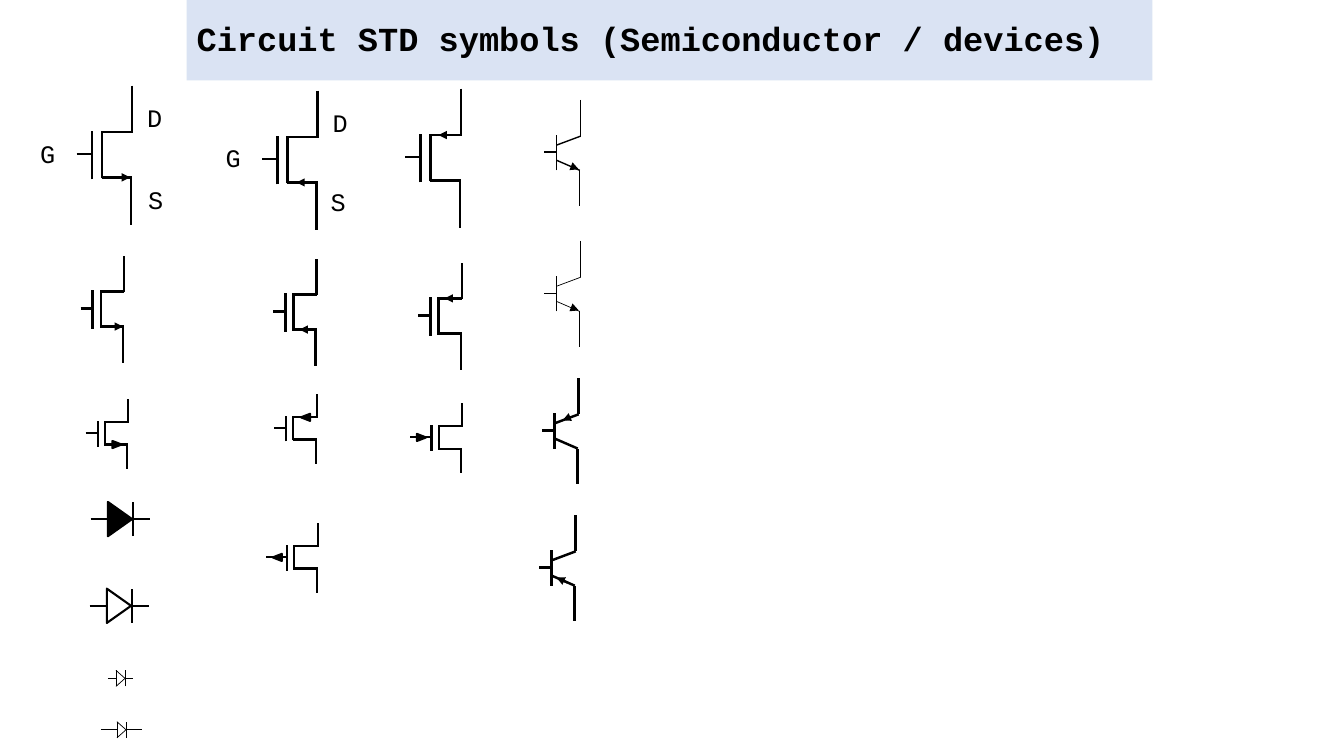
"""Build a slide of standard circuit symbols for semiconductor devices."""
from dataclasses import dataclass

from lxml.etree import SubElement
from pptx import Presentation
from pptx.dml.color import RGBColor
from pptx.enum.shapes import MSO_CONNECTOR, MSO_SHAPE
from pptx.enum.text import MSO_ANCHOR, MSO_AUTO_SIZE, PP_ALIGN
from pptx.oxml.ns import qn
from pptx.util import Pt

PX = 9144
BLACK = RGBColor(0, 0, 0)
PALE_BLUE = RGBColor(0xDA, 0xE3, 0xF3)
FONT = "Courier New"


@dataclass
class MosfetSize:
    """Distances inside a MOSFET symbol, from its left and top."""
    bar: int
    channel: int
    lead: int
    drain: int
    gate: int
    source: int
    bottom: int
    weight: float


LARGE = MosfetSize(15, 25, 55, 46, 68, 91, 138, 1.75)
MEDIUM = MosfetSize(12, 20, 43, 35, 52, 70, 106, 1.75)
SMALL = MosfetSize(12, 19, 42, 23, 34, 45, 69, 1.5)


def style_text(frame, text, size, bold=False):
    """Write one left-aligned line of text in the slide's font."""
    frame.text = text
    para = frame.paragraphs[0]
    para.alignment = PP_ALIGN.LEFT
    font = para.runs[0].font
    font.name, font.size, font.bold = FONT, Pt(size), bold
    font.color.rgb = BLACK


def add_title(page, text):
    """Place the title on its pale band."""
    title = page.shapes.title
    title.left, title.top, title.width, title.height = 185 * PX, 13 * PX, 958 * PX, 50 * PX
    title.fill.solid()
    title.fill.fore_color.rgb = PALE_BLUE
    frame = title.text_frame
    frame.vertical_anchor = MSO_ANCHOR.MIDDLE
    frame.auto_size = MSO_AUTO_SIZE.SHAPE_TO_FIT_TEXT
    style_text(frame, text, 24, True)


def add_label(page, text, left, top):
    """Add the letter of a terminal."""
    box = page.shapes.add_textbox(left * PX, top * PX, 35 * PX, 40 * PX)
    box.text_frame.word_wrap = False
    box.text_frame.auto_size = MSO_AUTO_SIZE.SHAPE_TO_FIT_TEXT
    style_text(box.text_frame, text, 18)


def add_lines(group, left, top, segments, weight, arrow=False):
    """Add straight lines given as offsets from a symbol's left and top."""
    for x1, y1, x2, y2 in segments:
        line = group.shapes.add_connector(
            MSO_CONNECTOR.STRAIGHT, (left + x1) * PX, (top + y1) * PX,
            (left + x2) * PX, (top + y2) * PX)
        line.line.color.rgb = BLACK
        line.line.width = Pt(weight)
        properties = line.element.spPr
        if arrow:
            SubElement(properties.find(qn("a:ln")), qn("a:tailEnd"), type="triangle")
        SubElement(properties, qn("a:effectLst"))


def add_triangle(group, center_x, center_y, width, height, rotation, filled=True):
    """Add a rotated triangle around a center."""
    triangle = group.shapes.add_shape(
        MSO_SHAPE.ISOSCELES_TRIANGLE, round((center_x - width / 2) * PX),
        round((center_y - height / 2) * PX), width * PX, height * PX)
    triangle.rotation = rotation
    triangle.shadow.inherit = False
    if filled:
        triangle.fill.solid()
        triangle.fill.fore_color.rgb = BLACK
    else:
        triangle.fill.background()
    triangle.line.color.rgb = BLACK
    triangle.line.width = Pt(1.5)


def add_mosfet(page, left, top, size, gate_start=0):
    """Add the lines of a MOSFET and return their group."""
    group = page.shapes.add_group_shape()
    add_lines(group, left, top, [
        (size.bar, size.source + 2, size.bar, size.drain - 1),
        (size.channel, size.drain, size.lead, size.drain),
        (gate_start, size.gate, size.bar, size.gate),
        (size.channel, size.source + 1, size.channel, size.drain - 1),
        (size.lead - 1, size.source, size.lead - 1, size.bottom),
        (size.lead, 0, size.lead, size.drain + 1),
        (size.channel, size.source, size.lead, size.source),
    ], size.weight)
    return group


def add_arrow_mosfet(page, left, top, size, arrow_y, start, end):
    """Add a MOSFET whose arrow is a line end."""
    group = add_mosfet(page, left, top, size)
    add_lines(group, left, top, [(start, arrow_y, end, arrow_y)], 1.5, True)


def add_triangle_mosfet(page, left, top, x, y, rotation, gate_start=0):
    """Add a small MOSFET whose arrow is a triangle."""
    group = add_mosfet(page, left, top, SMALL, gate_start)
    add_triangle(group, left + x, top + y, 7, 9, rotation)


def add_bipolar(page, left, top, weight, arrow, arrow_weight):
    """Add a bipolar transistor with its arrow."""
    group = page.shapes.add_group_shape()
    add_lines(group, left, top, [
        (12, 45, 36, 36), (0, 52, 12, 52), (12, 70, 12, 35),
        (35, 70, 35, 105), (36, 0, 36, 36), (12, 60, 35, 70),
    ], weight)
    add_lines(group, left, top, [arrow], arrow_weight, True)


def add_large_diode(page, left, middle, filled):
    """Add a diode with a triangle body."""
    group = page.shapes.add_group_shape()
    add_lines(group, left, middle, [
        (0, 0, 17, 0), (42, 17, 42, -17), (42, 0, 59, 0)], 1.5)
    add_triangle(group, left + 29, middle, 34, 24, 90, filled)


def add_small_diode(page, left, middle, lead):
    """Add a diode drawn with thin lines."""
    group = page.shapes.add_group_shape()
    bar = lead + 9
    add_lines(group, left, middle, [
        (lead, 8, bar, 0), (lead, -8, bar, 0), (0, 0, lead, 0),
        (lead, 8, lead, -8), (bar, 8, bar, -8), (bar, 0, bar + lead, 0)], 0.5)


def main():
    """Build and save the deck."""
    deck = Presentation()
    deck.slide_width, deck.slide_height = 1333 * PX, 750 * PX
    page = deck.slides.add_slide(deck.slide_layouts[5])
    add_title(page, "Circuit STD symbols (Semiconductor / devices)")

    for text, left, top in [("G", 30, 132), ("S", 137, 178), ("D", 136, 97),
                            ("G", 214, 136), ("S", 318, 180), ("D", 320, 102)]:
        add_label(page, text, left, top)

    for left, top, size, arrow_y, start, end in [
            (76, 85, LARGE, LARGE.source, 43, 53),
            (260, 90, LARGE, LARGE.source, 43, 34),
            (402, 88, LARGE, LARGE.drain, 43, 33),
            (80, 254, MEDIUM, MEDIUM.source, 34, 42),
            (271, 257, MEDIUM, MEDIUM.source, 34, 26),
            (415, 261, MEDIUM, MEDIUM.drain, 34, 26)]:
        add_arrow_mosfet(page, left, top, size, arrow_y, start, end)

    add_triangle_mosfet(page, 85, 396, 31, SMALL.source, 90)
    add_triangle_mosfet(page, 272, 391, 31, SMALL.drain, 270)
    add_triangle_mosfet(page, 273, 519, 2, SMALL.gate, 270, -9)
    add_triangle_mosfet(page, 416, 400, 2, SMALL.gate, 90, -9)

    outward = (29, 67, 34, 69)
    add_bipolar(page, 540, 99, 1, outward, 1)
    add_bipolar(page, 540, 239, 0.5, outward, 0.5)
    add_bipolar(page, 538, 375, 1.75, (27, 39, 20, 42), 1.5)
    add_bipolar(page, 535, 511, 1.75, (28, 67, 17, 62), 1.5)

    add_large_diode(page, 90, 515, True)
    add_large_diode(page, 89, 601, False)
    add_small_diode(page, 107, 673, 8)
    add_small_diode(page, 100, 724, 16)
    deck.save("out.pptx")


if __name__ == "__main__":
    main()
